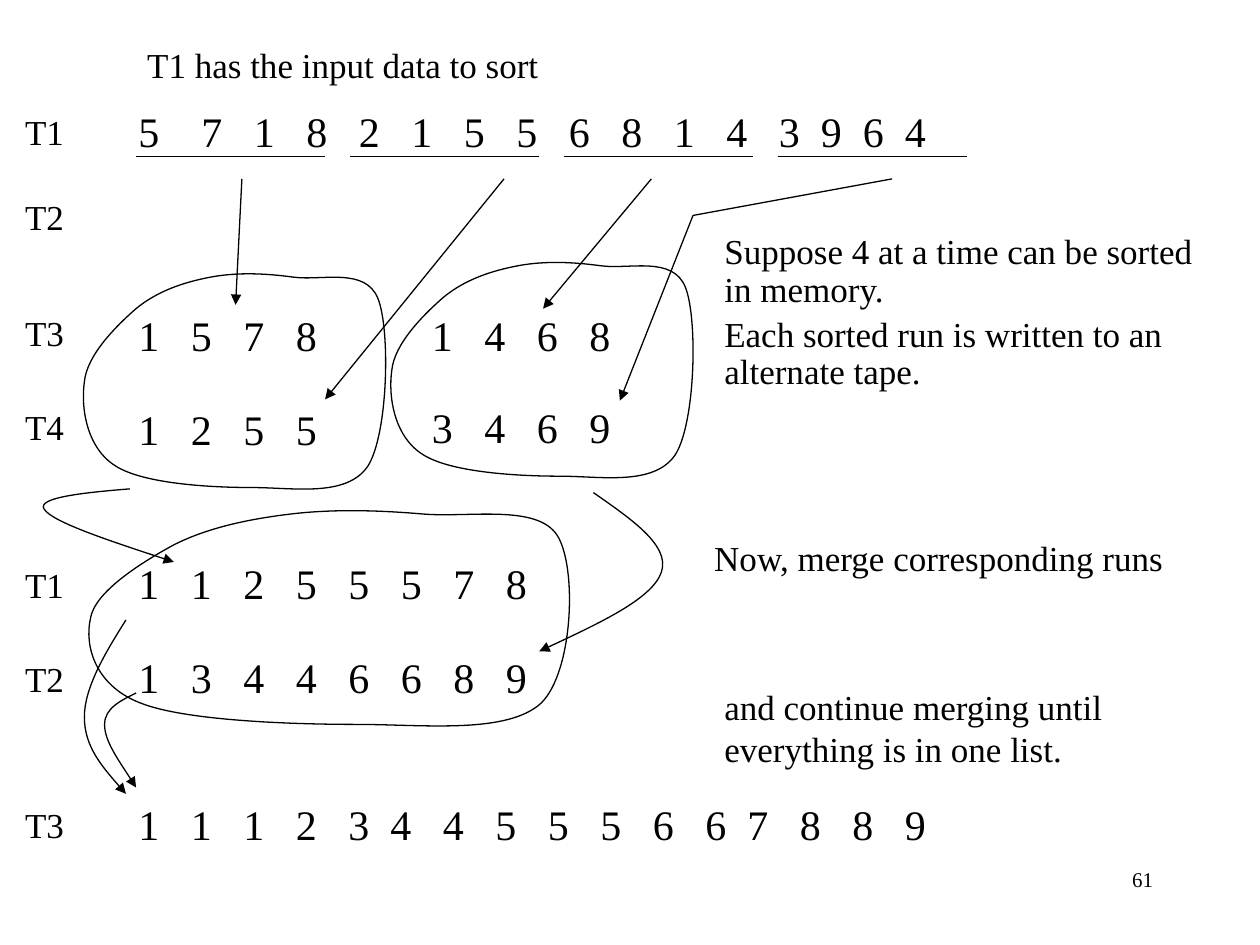
from lxml import etree
from pptx import Presentation
from pptx.dml.color import RGBColor
from pptx.enum.shapes import MSO_CONNECTOR as Link
from pptx.enum.text import MSO_AUTO_SIZE as Fit, PP_ALIGN as Align
from pptx.oxml.ns import qn
from pptx.util import Inches, Pt

COLORS = {"ink": "000000"}
FONT = {"name": "Times New Roman", "bold": False}
INK = RGBColor.from_string(COLORS["ink"])

prs = Presentation()
prs.slide_width, prs.slide_height = Inches(10), Inches(7.5)
shapes = prs.slides.add_slide(prs.slide_layouts[6]).shapes


def add_text(lines, box, size=20, wrap=False, **layout):
    """Add a text box with one paragraph per line and return its frame."""
    frame = shapes.add_textbox(*map(Inches, box)).text_frame
    frame.word_wrap = wrap
    frame.auto_size = Fit.NONE if wrap else Fit.SHAPE_TO_FIT_TEXT
    for i, line in enumerate(lines):
        para = frame.add_paragraph() if i else frame.paragraphs[0]
        for key, value in layout.items():
            setattr(para, key, value)
        run = para.add_run()
        run.text = line
        for key, value in FONT.items():
            setattr(run.font, key, value)
        run.font.size = Pt(size)
        run.font.color.rgb = INK
    return frame


def draw_line(shape, arrow):
    """Give a connector or curve a thin line, no shadow and maybe an arrowhead."""
    shape.line.color.rgb = INK
    shape.line.width = Pt(0.75)
    props = shape._element.spPr
    if arrow:
        etree.SubElement(props.find(qn("a:ln")), qn("a:tailEnd"), type="triangle")
    if props.find(qn("a:effectLst")) is None:
        etree.SubElement(props, qn("a:effectLst"))


# Tape names down the left side
tapes = [("T1", 0.83), ("T2", 1.5), ("T3", 2.42), ("T4", 3.17),
         ("T1", 4.42), ("T2", 5.17), ("T3", 6.33)]
for name, top in tapes:
    add_text([name], (0.1, top, 0.51, 0.44))

# Tape contents: each mark between digits stands for a tab step
GAPS = {" ": 5 / 12, "|": 1 / 3, "_": 1 / 2}
rows = [
    ("5_7 1 8 2 1 5 5 6 8 1 4 3|9|6|4", 1, 0.83, 8.25, 0.58),
    ("1 5 7 8", 1, 2.45, 2, 0.58),
    ("1 2 5 5", 1, 3.2, 2.08, 0.8),
    ("1 4 6 8", 3.33, 2.45, 2, 0.46),
    ("3 4 6 9", 3.33, 3.18, 2, 0.46),
    ("1 1 2 5 5 5 7 8", 1, 4.42, 3.92, 0.58),
    ("1 3 4 4 6 6 8 9", 1, 5.17, 4.58, 0.8),
    ("1 1 1 2 3|4 4 5 5 5 6 6|7 8 8 9", 1, 6.33, 7.83, 0.58),
]
for data, *box in rows:
    frame = add_text(["\t".join(data[::2])], box, 24, True,
                     line_spacing=0.9, space_before=Pt(5))
    props = frame.paragraphs[0]._p.get_or_add_pPr()
    tabs = etree.SubElement(props, qn("a:tabLst"))
    stop = 0
    for mark in data[1::2]:
        stop += GAPS[mark]
        etree.SubElement(tabs, qn("a:tab"), pos=str(Inches(stop)), algn="l")

# Remarks
add_text(["T1 has the input data to sort"], (1.07, 0.3, 3.33, 0.44))
add_text(["Suppose 4 at a time can be sorted in memory.",
          "Each sorted run is written to an alternate tape."],
         (5.65, 1.81, 4.18, 1.72), wrap=True, line_spacing=0.9, space_before=Pt(4))
add_text(["Now, merge corresponding runs"], (5.57, 4.21, 3.86, 0.44))
add_text(["and continue merging until", "everything is in one list."],
         (5.65, 5.39, 3.22, 0.77))
add_text(["61"], (7.5, 6.83, 1.75, 0.5), 12, True, alignment=Align.RIGHT)

# Straight lines: run underlines, then arrows to the sorted runs
lines = [(1.08 + 1.697 * i, 1.24, 2.58 + 1.697 * i, 1.24, False) for i in range(4)]
lines += [
    (1.92, 1.42, 1.87, 2.42, True),
    (4, 1.42, 2.58, 3.17, True),
    (5.17, 1.42, 4.31, 2.45, True),
    (7.08, 1.42, 5.5, 1.71, False),
    (5.5, 1.71, 4.92, 3.18, True),
]
for *ends, arrow in lines:
    draw_line(shapes.add_connector(Link.STRAIGHT, *map(Inches, ends)), arrow)

# Curves: a start point, then three Bezier points per segment
LOOP = [(0.44, 0.33), (0.28, 0.47), (0.05, 0.7), (0.03, 0.91),
        (0, 1.12), (0.05, 1.44), (0.28, 1.58),
        (0.5, 1.72), (1.03, 1.75), (1.36, 1.75),
        (1.69, 1.75), (2.11, 1.83), (2.28, 1.58),
        (2.44, 1.33), (2.46, 0.5), (2.36, 0.25),
        (2.26, 0), (1.92, 0.11), (1.69, 0.08),
        (1.47, 0.05), (1.24, 0.04), (1.03, 0.08),
        (0.82, 0.12), (0.61, 0.19), (0.44, 0.33)]
curves = [([(left + x * scale, top + y) for x, y in LOOP], True)
          for left, top, scale in [(0.64, 2.12, 1), (3.08, 2.03, 1), (0.67, 4, 1.59)]]
curves += [(points, False) for points in [
    [(1.03, 3.88), (0.66, 3.91), (0.29, 3.95), (0.35, 4.04),
     (0.41, 4.14), (0.89, 4.3), (1.38, 4.46)],
    [(4.71, 3.91), (5.01, 4.12), (5.32, 4.33), (5.25, 4.54),
     (5.18, 4.75), (4.73, 4.96), (4.28, 5.17)],
    [(1, 4.92), (0.83, 5.19), (0.67, 5.46), (0.67, 5.69),
     (0.67, 5.92), (0.83, 6.11), (1, 6.3)],
    [(1.08, 5.5), (0.96, 5.56), (0.83, 5.62), (0.83, 5.75),
     (0.83, 5.88), (0.96, 6.06), (1.08, 6.25)],
]]
for points, closed in curves:
    start, *rest = [(Inches(x), Inches(y)) for x, y in points]
    pen = shapes.build_freeform(*start)
    pen.add_line_segments(rest, close=closed)
    curve = pen.convert_to_shape()
    curve.fill.background()
    curve.shadow.inherit = False
    draw_line(curve, not closed)
    steps = list(curve._element.iter(qn("a:lnTo")))
    for i in range(0, len(steps), 3):
        bend = etree.Element(qn("a:cubicBezTo"))
        steps[i].addprevious(bend)
        for step in steps[i:i + 3]:
            bend.append(step[0])
            step.getparent().remove(step)

prs.save("out.pptx")
